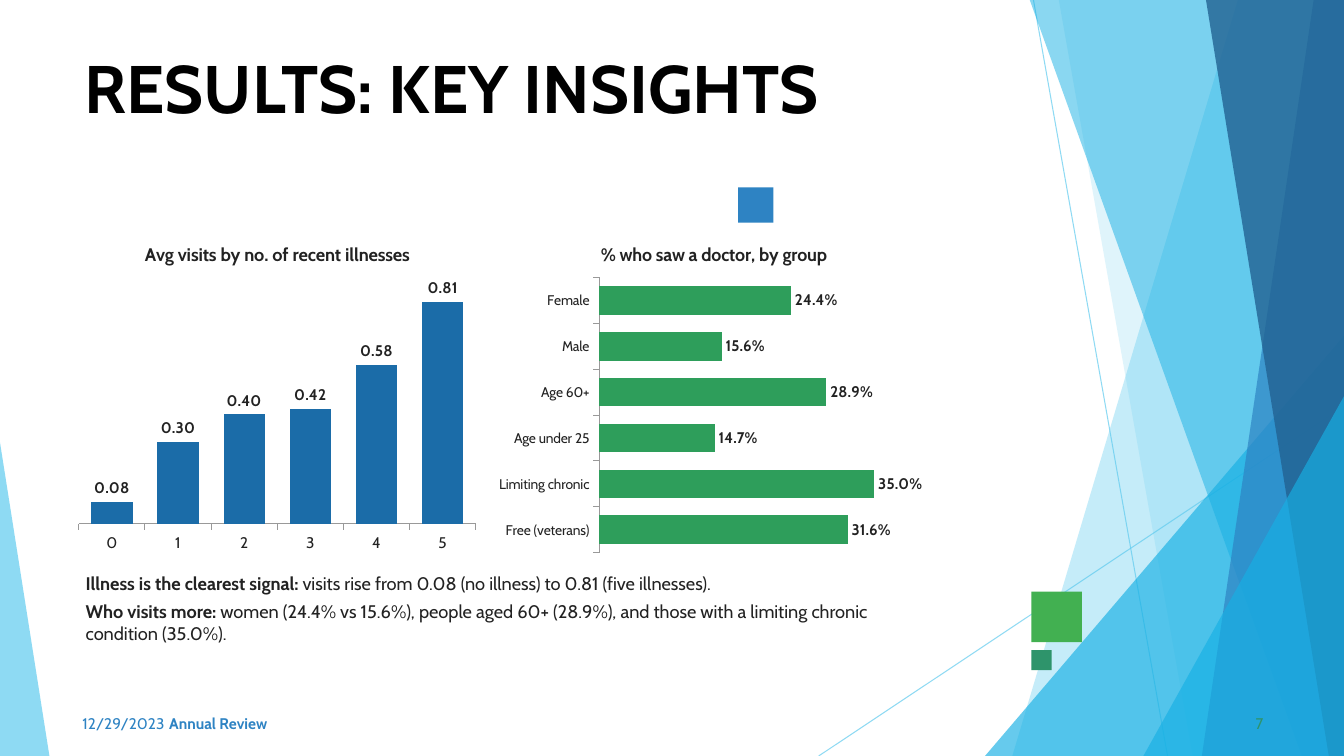
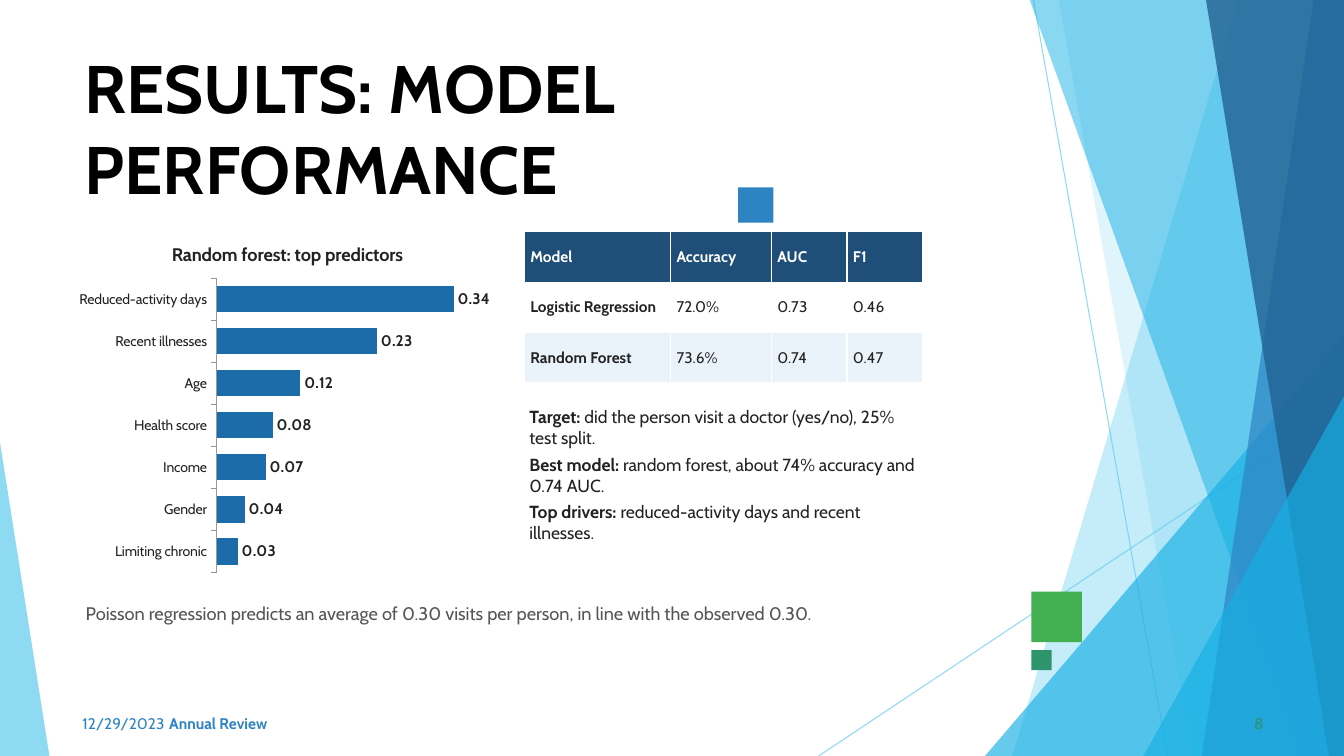
"""Build two result slides with charts, a model table and a shared faceted frame."""

from dataclasses import dataclass
from typing import Any, NamedTuple

from lxml.etree import SubElement
from pptx import Presentation
from pptx.chart.data import CategoryChartData
from pptx.dml.color import RGBColor
from pptx.enum.chart import XL_CHART_TYPE, XL_LABEL_POSITION
from pptx.enum.shapes import MSO_CONNECTOR, MSO_SHAPE
from pptx.enum.text import MSO_ANCHOR, MSO_AUTO_SIZE, PP_ALIGN
from pptx.oxml.ns import qn
from pptx.presentation import Presentation as Deck
from pptx.slide import Slide
from pptx.text.text import Font
from pptx.util import Inches, Pt

FONT_NAME = "Cabin"
BLACK = RGBColor(0x00, 0x00, 0x00)
WHITE = RGBColor(0xFF, 0xFF, 0xFF)
INK = RGBColor(0x22, 0x22, 0x22)
GRAY = RGBColor(0x55, 0x55, 0x55)
AXIS_GRAY = RGBColor(0x99, 0x99, 0x99)
SKY = RGBColor(0x5F, 0xCB, 0xEF)
CYAN = RGBColor(0x17, 0xB0, 0xE4)
BLUE = RGBColor(0x2E, 0x83, 0xC3)
DEEP_BLUE = RGBColor(0x22, 0x62, 0x92)
GREEN = RGBColor(0x42, 0xB0, 0x51)
TEAL = RGBColor(0x2E, 0x94, 0x6B)
BAR_BLUE = RGBColor(0x1B, 0x6C, 0xA8)
BAR_GREEN = RGBColor(0x2E, 0x9E, 0x5B)
HEADER_BLUE = RGBColor(0x1F, 0x4E, 0x79)
BAND_BLUE = RGBColor(0xEA, 0xF3, 0xFA)

SLIDE_WIDTH = 13.33
SLIDE_HEIGHT = 7.5
FACET_TOP = -0.01


class Box(NamedTuple):
    """Position and size in inches."""

    left: float
    top: float
    width: float
    height: float

    def lengths(self) -> tuple[Inches, ...]:
        """Return the four values as lengths."""
        return tuple(Inches(value) for value in self)


@dataclass(frozen=True)
class Facet:
    """Translucent band that runs from the slide top to its bottom at the right edge."""

    top_left: float
    bottom_left: float
    color: RGBColor
    opacity: int


@dataclass(frozen=True)
class Triangle:
    """Translucent triangle with its apex at a share of its width."""

    box: Box
    apex: float
    color: RGBColor
    opacity: int


@dataclass(frozen=True)
class ChartPanel:
    """Single-series chart with a title and value labels."""

    box: Box
    title: str
    values: dict[str, float]
    color: RGBColor
    label_format: str = "0.00"
    horizontal: bool = True


class Piece(NamedTuple):
    """Stretch of text with its weight."""

    text: str
    bold: bool = False


@dataclass(frozen=True)
class TextBlock:
    """Text box made of paragraphs of pieces."""

    box: Box
    paragraphs: list[list[Piece]]
    size: float = 13
    color: RGBColor = INK


RAYS = [(10.25, 0, 11.58, SLIDE_HEIGHT), (SLIDE_WIDTH, 4.03, 8.12, SLIDE_HEIGHT)]
FACETS = [
    Facet(12.28, 10.04, SKY, 36),
    Facet(10.5, 11.83, SKY, 20),
    Triangle(Box(9.77, 3.33, 3.56, 4.17), 1, CYAN, 66),
    Facet(10.21, 12.91, CYAN, 50),
    Facet(13.03, 11.92, BLUE, 70),
    Facet(11.96, 13.18, DEEP_BLUE, 80),
    Triangle(Box(11.34, 3.93, 1.99, 3.57), 1, CYAN, 66),
    Triangle(Box(0, 4.39, 0.49, 3.11), 0, SKY, 70),
]
SQUARES = [
    (Box(10.23, 5.87, 0.5, 0.5), GREEN),
    (Box(7.32, 1.86, 0.35, 0.35), BLUE),
    (Box(10.23, 6.45, 0.2, 0.2), TEAL),
]
BODY_FRAME = {
    "word_wrap": True,
    "auto_size": MSO_AUTO_SIZE.SHAPE_TO_FIT_TEXT,
    "margin_left": Inches(0.05),
    "margin_right": Inches(0.05),
    "margin_top": Inches(0.03),
    "margin_bottom": Inches(0.03),
}
FOOTER_FRAME = {"word_wrap": True, "vertical_anchor": MSO_ANCHOR.MIDDLE}
TITLE_FRAME = {
    "word_wrap": True,
    "auto_size": MSO_AUTO_SIZE.NONE,
    "vertical_anchor": MSO_ANCHOR.TOP,
}
CELL_FORMAT = {
    "vertical_anchor": MSO_ANCHOR.MIDDLE,
    "margin_left": Inches(0.06),
    "margin_right": Inches(0.06),
    "margin_top": Inches(0.05),
    "margin_bottom": Inches(0.05),
}
MODEL_ROWS = [
    ("Model", "Accuracy", "AUC", "F1"),
    ("Logistic Regression", "72.0%", "0.73", "0.46"),
    ("Random Forest", "73.6%", "0.74", "0.47"),
]
MODEL_COLUMNS = (1.45, 1, 0.75, 0.75)
ROW_FILLS = (HEADER_BLUE, WHITE, BAND_BLUE)


def apply_format(target: Any, values: dict[str, Any]) -> None:
    """Set every named attribute on the target."""
    for name, value in values.items():
        setattr(target, name, value)


def format_font(font: Font, size: float, color: RGBColor, bold: bool = False) -> None:
    """Give a font the deck typeface, size, colour and weight."""
    apply_format(font, {"name": FONT_NAME, "size": Pt(size), "bold": bold})
    font.color.rgb = color


def set_opacity(shape: Any, percent: int) -> None:
    """Make the explicit colour of a shape translucent."""
    for color in shape.element.spPr.iter(qn("a:srgbClr")):
        SubElement(color, qn("a:alpha")).set("val", str(percent * 1000))


def fill_shape(shape: Any, color: RGBColor) -> None:
    """Fill a shape flat, without line or shadow."""
    shape.shadow.inherit = False
    shape.fill.solid()
    shape.fill.fore_color.rgb = color
    shape.line.fill.background()


def draw_ray(slide: Slide, ends: tuple[float, ...]) -> None:
    """Draw a thin translucent line."""
    ray = slide.shapes.add_connector(MSO_CONNECTOR.STRAIGHT, *map(Inches, ends))
    ray.line.color.rgb = SKY
    ray.line.width = Pt(0.75)
    set_opacity(ray, 70)
    SubElement(ray.element.spPr, qn("a:effectLst"))


def draw_facet(slide: Slide, facet: Facet | Triangle) -> None:
    """Draw one translucent facet of the frame."""
    if isinstance(facet, Triangle):
        shape = slide.shapes.add_shape(MSO_SHAPE.ISOSCELES_TRIANGLE, *facet.box.lengths())
        shape.adjustments[0] = facet.apex
    else:
        corners = [
            (SLIDE_WIDTH, FACET_TOP),
            (SLIDE_WIDTH, SLIDE_HEIGHT),
            (facet.bottom_left, SLIDE_HEIGHT),
        ]
        builder = slide.shapes.build_freeform(Inches(facet.top_left), Inches(FACET_TOP))
        builder.add_line_segments([(Inches(x), Inches(y)) for x, y in corners])
        shape = builder.convert_to_shape()
    fill_shape(shape, facet.color)
    set_opacity(shape, facet.opacity)


def draw_footer(
    slide: Slide, box: Box, text: str, color: RGBColor = BLUE,
    bold: bool = False, alignment: PP_ALIGN = PP_ALIGN.LEFT,
) -> None:
    """Write one footer entry."""
    frame = slide.shapes.add_textbox(*box.lengths()).text_frame
    apply_format(frame, FOOTER_FRAME)
    paragraph = frame.paragraphs[0]
    apply_format(paragraph, {"text": text, "alignment": alignment})
    format_font(paragraph.runs[0].font, 11, color, bold)


def add_framed_slide(presentation: Deck, title: str, number: int) -> Slide:
    """Add a slide with the shared frame, footer and title."""
    slide = presentation.slides.add_slide(presentation.slide_layouts[5])
    for ends in RAYS:
        draw_ray(slide, ends)
    for facet in FACETS:
        draw_facet(slide, facet)
    draw_footer(slide, Box(0.72, 6.98, 3, 0.4), "12/29/2023")
    draw_footer(slide, Box(1.58, 6.98, 4.5, 0.4), "Annual Review", bold=True)
    draw_footer(slide, Box(9.63, 6.98, 3, 0.4), str(number), TEAL, alignment=PP_ALIGN.RIGHT)
    for box, color in SQUARES:
        fill_shape(slide.shapes.add_shape(MSO_SHAPE.RECTANGLE, *box.lengths()), color)
    heading = slide.shapes.title
    names = ("left", "top", "width", "height")
    apply_format(heading, dict(zip(names, Box(0.74, 0.41, 8.4, 0.91).lengths())))
    apply_format(heading.text_frame, TITLE_FRAME)
    paragraph = heading.text_frame.paragraphs[0]
    apply_format(paragraph, {"text": title, "alignment": PP_ALIGN.LEFT})
    format_font(paragraph.runs[0].font, 48, BLACK, True)
    return slide


def draw_chart(slide: Slide, panel: ChartPanel) -> None:
    """Draw a bar or column chart."""
    data = CategoryChartData()
    data.categories = list(panel.values)
    data.add_series("Series 1", list(panel.values.values()))
    kind = XL_CHART_TYPE.BAR_CLUSTERED if panel.horizontal else XL_CHART_TYPE.COLUMN_CLUSTERED
    chart = slide.shapes.add_chart(kind, *panel.box.lengths(), data).chart
    format_font(chart.font, 11, INK)
    chart.has_legend = False
    title = chart.chart_title.text_frame
    title.text = panel.title
    format_font(title.paragraphs[0].runs[0].font, 13, INK, True)
    apply_format(chart.value_axis, {"visible": False, "has_major_gridlines": False, "minimum_scale": 0})
    axis = chart.category_axis
    axis.reverse_order = panel.horizontal
    format_font(axis.tick_labels.font, 10 if panel.horizontal else 11, INK)
    axis.format.line.color.rgb = AXIS_GRAY
    axis.format.line.width = Pt(0.75)
    plot = chart.plots[0]
    apply_format(plot, {"gap_width": 60, "vary_by_categories": False, "has_data_labels": True})
    apply_format(plot.data_labels, {
        "show_value": True,
        "position": XL_LABEL_POSITION.OUTSIDE_END,
        "number_format": panel.label_format,
        "number_format_is_linked": False,
    })
    format_font(plot.data_labels.font, 11, INK, True)
    fill = plot.series[0].format.fill
    fill.solid()
    fill.fore_color.rgb = panel.color


def draw_text(slide: Slide, block: TextBlock) -> None:
    """Write a text block with bold lead-ins."""
    frame = slide.shapes.add_textbox(*block.box.lengths()).text_frame
    apply_format(frame, BODY_FRAME)
    for index, pieces in enumerate(block.paragraphs):
        paragraph = frame.add_paragraph() if index else frame.paragraphs[0]
        paragraph.space_after = Pt(4)
        for piece in pieces:
            run = paragraph.add_run()
            run.text = piece.text
            format_font(run.font, block.size, block.color, piece.bold)


def draw_model_table(slide: Slide, box: Box) -> None:
    """Draw the table of model scores."""
    table = slide.shapes.add_table(len(MODEL_ROWS), len(MODEL_COLUMNS), *box.lengths()).table
    for column, width in zip(table.columns, MODEL_COLUMNS):
        column.width = Inches(width)
    for row_index, (texts, color) in enumerate(zip(MODEL_ROWS, ROW_FILLS)):
        is_header = row_index == 0
        for column_index, text in enumerate(texts):
            cell = table.cell(row_index, column_index)
            apply_format(cell, {"text": text, **CELL_FORMAT})
            cell.fill.solid()
            cell.fill.fore_color.rgb = color
            font = cell.text_frame.paragraphs[0].runs[0].font
            format_font(font, 11, WHITE if is_header else INK, is_header or column_index == 0)


def add_insights_slide(presentation: Deck) -> None:
    """Add the slide on visits by illness and group."""
    slide = add_framed_slide(presentation, "RESULTS: KEY INSIGHTS", 7)
    illnesses = dict(zip("012345", (0.08, 0.3, 0.4, 0.42, 0.58, 0.81)))
    groups = {
        "Female": 24.4, "Male": 15.6, "Age 60+": 28.9,
        "Age under 25": 14.7, "Limiting chronic": 35, "Free (veterans)": 31.6,
    }
    draw_chart(slide, ChartPanel(Box(0.7, 2.25, 4.1, 3.3), "Avg visits by no. of recent illnesses",
                                 illnesses, BAR_BLUE, horizontal=False))
    draw_chart(slide, ChartPanel(Box(4.95, 2.25, 4.2, 3.3), "% who saw a doctor, by group",
                                 groups, BAR_GREEN, '0.0"%"'))
    draw_text(slide, TextBlock(Box(0.8, 5.65, 8.4, 1.1), [
        [Piece("Illness is the clearest signal: ", True),
         Piece("visits rise from 0.08 (no illness) to 0.81 (five illnesses).")],
        [Piece("Who visits more: ", True),
         Piece("women (24.4% vs 15.6%), people aged 60+ (28.9%), "
               "and those with a limiting chronic condition (35.0%).")],
    ]))


def add_performance_slide(presentation: Deck) -> None:
    """Add the slide on predictors and model scores."""
    slide = add_framed_slide(presentation, "RESULTS: MODEL PERFORMANCE", 8)
    predictors = {
        "Reduced-activity days": 0.34, "Recent illnesses": 0.23, "Age": 0.12,
        "Health score": 0.08, "Income": 0.07, "Gender": 0.04, "Limiting chronic": 0.03,
    }
    draw_chart(slide, ChartPanel(Box(0.7, 2.25, 4.3, 3.5), "Random forest: top predictors",
                                 predictors, BAR_BLUE))
    draw_model_table(slide, Box(5.2, 2.3, 3.95, 1.5))
    draw_text(slide, TextBlock(Box(5.2, 4, 3.95, 1.9), [
        [Piece("Target: ", True), Piece("did the person visit a doctor (yes/no), 25% test split.")],
        [Piece("Best model: ", True), Piece("random forest, about 74% accuracy and 0.74 AUC.")],
        [Piece("Top drivers: ", True), Piece("reduced-activity days and recent illnesses.")],
    ], 12.5))
    draw_text(slide, TextBlock(Box(0.8, 5.95, 8.4, 0.7), [[Piece(
        "Poisson regression predicts an average of 0.30 visits per person, "
        "in line with the observed 0.30.")]], color=GRAY))


def main() -> None:
    """Build and save the presentation."""
    presentation = Presentation()
    presentation.slide_width = Inches(SLIDE_WIDTH)
    presentation.slide_height = Inches(SLIDE_HEIGHT)
    add_insights_slide(presentation)
    add_performance_slide(presentation)
    presentation.save("out.pptx")


if __name__ == "__main__":
    main()
